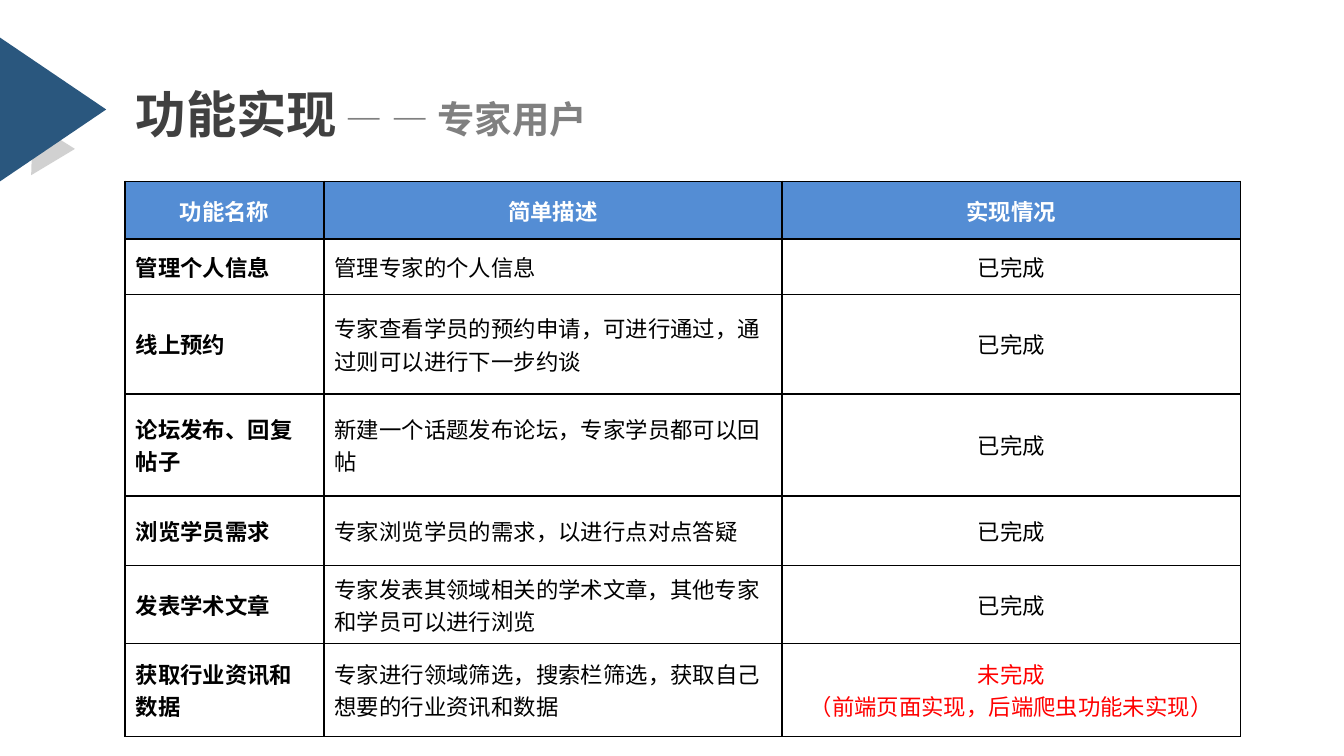
from lxml.etree import SubElement
from pptx import Presentation
from pptx.dml.color import RGBColor
from pptx.enum.shapes import MSO_SHAPE
from pptx.enum.text import MSO_ANCHOR, PP_ALIGN
from pptx.oxml import parse_xml
from pptx.oxml.ns import nsdecls, qn
from pptx.util import Inches, Pt

NAVY = RGBColor(0x2A, 0x57, 0x7E)
BLUE = RGBColor(0x54, 0x8D, 0xD4)
DARK = RGBColor(0x40, 0x40, 0x40)
GRAY = RGBColor(0x80, 0x80, 0x80)
BLACK = RGBColor(0, 0, 0)
WHITE = RGBColor(0xFF, 0xFF, 0xFF)
RED = RGBColor(0xFF, 0, 0)
SANS, SERIF = "Noto Sans CJK SC", "Times New Roman"

COLS = [1.48, 3.41, 3.41]
ROWS = [0.43, 0.41, 0.74, 0.76, 0.52, 0.58, 0.69]
DONE = "已完成"
# "|" switches the font: serif first, then sans, and so on
CELLS = [
    ["功能名称", "简单描述", "实现情况"],
    ["|管理|个人信息", "管理|专家|的个人信息", DONE],
    ["|线上|预约", "|专家|查看学员的预约申请|，|可进行通过|，|通过则可以进行下一步约谈", DONE],
    ["|论坛|发布|、|回复帖子", "新建一个话题发布论坛|，|专家学员都可以回帖", DONE],
    ["|浏览学员需求", "|专家|浏览学员的需求|，|以进行点对点答疑", DONE],
    ["|发表学术文章", "|专家发表其领域相关的学术文章，其他专家和学员可以进行浏览", DONE],
    ["|获取行业资讯和数据", "专家进行领域筛选|，|搜索栏筛选|，|获取自己想要的行业资讯和数据",
     "未完成\n（前端页面实现，后端爬虫功能未实现）"],
]


def add_run(p, text, size=12, color=BLACK, bold=False, font=SANS):
    r = p.add_run()
    r.text = text
    r.font.size, r.font.bold, r.font.name = Pt(size), bold, font
    r.font.color.rgb = color
    SubElement(r.font._element, qn("a:ea")).set("typeface", SANS)


class Deck:
    margin_x, margin_y = Inches(0.08), Inches(0.04)

    def __init__(self, prs):
        self.s = prs.slides.add_slide(prs.slide_layouts[6])

    def triangle(self, box, angle, peak, color, alpha=None):
        sp = self.s.shapes.add_shape(MSO_SHAPE.ISOSCELES_TRIANGLE, *map(Inches, box))
        sp.rotation, sp.adjustments[0] = angle, peak
        sp.shadow.inherit = False
        sp.fill.solid()
        sp.fill.fore_color.rgb = color
        sp.line.fill.background()
        if alpha:
            clr = sp._element.spPr.find(".//" + qn("a:srgbClr"))
            SubElement(clr, qn("a:alpha")).set("val", str(alpha * 1000))

    def title(self, box, runs):
        tf = self.s.shapes.add_textbox(*map(Inches, box)).text_frame
        tf.word_wrap = True
        tf.margin_left = tf.margin_right = self.margin_x
        tf.margin_top = tf.margin_bottom = self.margin_y
        for text, size, color in runs:
            add_run(tf.paragraphs[0], text, size=size, color=color, bold=True)

    def cell(self, cell, text, color, bold, centered, fill):
        cell.vertical_anchor = MSO_ANCHOR.MIDDLE
        cell.margin_left = cell.margin_right = self.margin_x
        cell.margin_top = cell.margin_bottom = 0
        tf = cell.text_frame
        for i, line in enumerate(text.split("\n")):
            p = tf.add_paragraph() if i else tf.paragraphs[0]
            p.alignment = PP_ALIGN.CENTER if centered else PP_ALIGN.LEFT
            for j, part in enumerate(line.split("|")):
                if part:
                    add_run(p, part, color=color, bold=bold, font=(SERIF, SANS)[j % 2])
        # Borders come before the fill in the cell properties
        tcPr = cell._tc.get_or_add_tcPr()
        for side in ("lnL", "lnR", "lnT", "lnB"):
            tcPr.append(parse_xml(
                f'<a:{side} {nsdecls("a")} w="12700"><a:solidFill>'
                f'<a:srgbClr val="{BLACK}"/></a:solidFill></a:{side}>'))
        if fill:
            cell.fill.solid()
            cell.fill.fore_color.rgb = fill
        else:
            cell.fill.background()

    def table(self, left, top):
        table = self.s.shapes.add_table(
            len(ROWS), len(COLS), Inches(left), Inches(top),
            Inches(sum(COLS)), Inches(sum(ROWS))).table
        table.horz_banding = False
        for col, width in zip(table.columns, COLS):
            col.width = Inches(width)
        for row, height in zip(table.rows, ROWS):
            row.height = Inches(height)
        for i, row in enumerate(CELLS):
            for j, text in enumerate(row):
                header = i == 0
                color = WHITE if header else RED if text.startswith("未完成") else BLACK
                self.cell(table.cell(i, j), text, color, bold=header or j == 0,
                          centered=header or j == 2, fill=BLUE if header else None)


def main():
    prs = Presentation()
    prs.slide_width = Inches(10)
    prs.slide_height = prs.slide_width * 9 // 16
    deck = Deck(prs)

    # Corner arrows
    deck.triangle((0.12, 0.9, 0.38, 0.33), 329, 0.56, GRAY, alpha=36)
    deck.triangle((-0.14, 0.42, 1.07, 0.79), 90, 0.5, NAVY)

    # Title
    deck.title((0.93, 0.58, 5.31, 0.53), [
        ("功能实现", 27, DARK), (" ", 20, DARK), ("— — 专家用户", 20, GRAY)])

    # Feature status
    deck.table(0.93, 1.35)
    prs.save("out.pptx")


if __name__ == "__main__":
    main()
